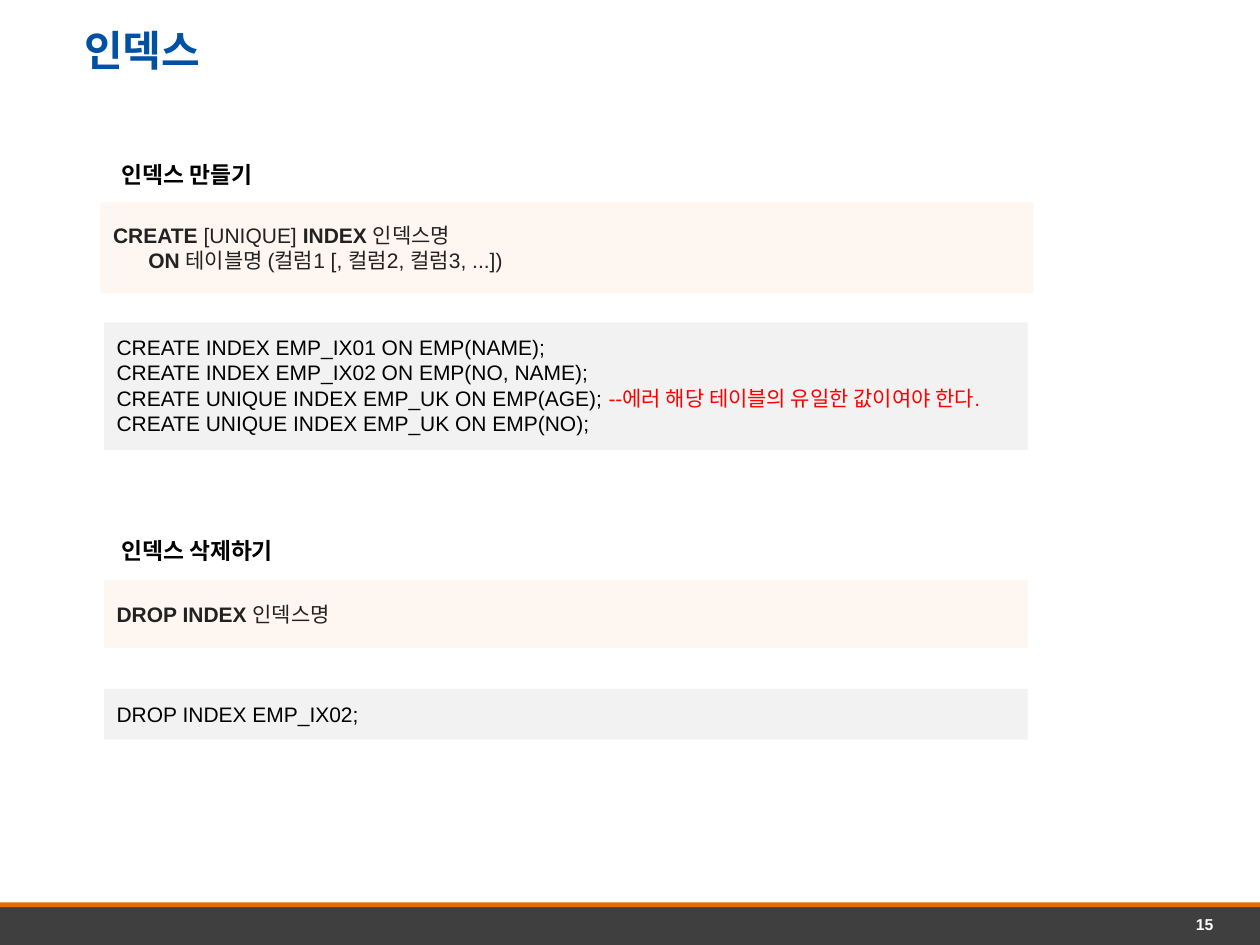
from pptx import Presentation
from pptx.dml.color import RGBColor
from pptx.enum.shapes import MSO_SHAPE
from pptx.enum.text import MSO_ANCHOR, MSO_AUTO_SIZE, PP_ALIGN
from pptx.util import Cm, Pt

RECT = MSO_SHAPE.RECTANGLE
TOP, MIDDLE = MSO_ANCHOR.TOP, MSO_ANCHOR.MIDDLE
LEFT, RIGHT = PP_ALIGN.LEFT, PP_ALIGN.RIGHT
NO_AUTOFIT = MSO_AUTO_SIZE.NONE

FONT = "Arial"
COLORS = {
    "title": "0050A4",
    "text": "000000",
    "syntax": "222222",
    "error": "FF0000",
    "syntax_fill": "FEF6F0",
    "example_fill": "F2F2F2",
    "footer": "3F3F3F",
    "accent": "E36C09",
    "white": "FFFFFF",
}
TITLE_ONLY = 5
CODE_SIZE = 12
CODE_INDENT = 0.71


def rgb(name):
    return RGBColor.from_string(COLORS[name])


def place(box):
    return [Cm(length) for length in box]


def set_frame(frame, insets, anchor=TOP):
    frame.word_wrap = True
    frame.auto_size = NO_AUTOFIT
    frame.vertical_anchor = anchor
    (frame.margin_left, frame.margin_top,
     frame.margin_right, frame.margin_bottom) = place(insets)


def add_runs(paragraph, runs, size, align=LEFT):
    paragraph.alignment = align
    for text, bold, color in runs:
        run = paragraph.add_run()
        run.text = text
        run.font.name = FONT
        run.font.size = Pt(size)
        run.font.bold = bold
        run.font.color.rgb = rgb(color)


def add_bar(slide, box, fill):
    bar = slide.shapes.add_shape(RECT, *place(box))
    bar.shadow.inherit = False
    bar.fill.solid()
    bar.fill.fore_color.rgb = rgb(fill)
    bar.line.fill.background()
    return bar


def add_label(slide, box, insets, runs, size, align=LEFT):
    frame = slide.shapes.add_textbox(*place(box)).text_frame
    set_frame(frame, insets)
    add_runs(frame.paragraphs[0], runs, size, align)


def add_code(slide, box, fill, lines, pad, anchor):
    frame = add_bar(slide, box, fill).text_frame
    set_frame(frame, (0.25, pad, 0.25, pad), anchor)
    for number, (indent, runs) in enumerate(lines):
        paragraph = frame.add_paragraph() if number else frame.paragraphs[0]
        if indent:
            paragraph._p.get_or_add_pPr().set("marL", str(Cm(indent)))
        add_runs(paragraph, runs, CODE_SIZE)


def add_footer(slide, box, page):
    left, top, width, height = box
    add_bar(slide, (left, top + 0.08, width, height - 0.08), "footer")
    add_bar(slide, (left, top, width, 0.1), "accent")
    add_label(slide, (left + 17.73, top + 0.25, 6.73, 0.38), (0, 0, 0, 0),
              [(page, True, "white")], 9, RIGHT)


def add_title(slide, box, text):
    title = slide.shapes.title
    title.left, title.top, title.width, title.height = place(box)
    set_frame(title.text_frame, (1.7, 0.5, 0.25, 0.13))
    add_runs(title.text_frame.paragraphs[0], [(text, True, "title")], 24)


def add_section(slide, box, heading, syntax, syntax_box, example, example_box):
    left, top, width, _ = box
    add_label(slide, (left + 0.1, top, width, 1.07), (0.25, 0.25, 0.25, 0.25),
              [(heading, True, "text")], 13)
    for lines, (dx, dy, w, h), fill, pad, anchor in (
        (syntax, syntax_box, "syntax_fill", 0.13, MIDDLE),
        (example, example_box, "example_fill", 0.25, TOP),
    ):
        add_code(slide, (left + dx, top + dy, w, h), fill, lines, pad, anchor)


def main():
    prs = Presentation()
    prs.slide_width, prs.slide_height = Cm(25.4), Cm(19.05)
    slide = prs.slides.add_slide(prs.slide_layouts[TITLE_ONLY])

    add_footer(slide, (0, 18.19, 25.4, 0.86), "15")
    add_title(slide, (0, 0, 25.4, 1.65), "인덱스")

    create_syntax = [
        (0, [("CREATE", True, "syntax"), (" [UNIQUE] ", False, "syntax"),
             ("INDEX", True, "syntax"), (" 인덱스명", False, "syntax")]),
        (CODE_INDENT, [("ON", True, "syntax"),
                       (" 테이블명 (컬럼1 [, 컬럼2, 컬럼3, ...])", False, "syntax")]),
    ]
    create_example = [
        (0, [("CREATE INDEX EMP_IX01 ON EMP(NAME);", False, "text")]),
        (0, [("CREATE INDEX EMP_IX02 ON EMP(NO, NAME);", False, "text")]),
        (0, [("CREATE UNIQUE INDEX EMP_UK ON EMP(AGE); ", False, "text"),
             ("--에러 해당 테이블의 유일한 값이여야 한다.", False, "error")]),
        (0, [("CREATE UNIQUE INDEX EMP_UK ON EMP(NO);", False, "text")]),
    ]
    add_section(slide, (2.1, 3, 21.44, 6.07), "인덱스 만들기",
                create_syntax, (-0.07, 1.08, 18.8, 1.83),
                create_example, (0, 3.5, 18.62, 2.57))

    drop_syntax = [(0, [("DROP INDEX", True, "syntax"),
                        (" 인덱스명", False, "syntax")])]
    drop_example = [(0, [("DROP INDEX EMP_IX02;", False, "text")])]
    add_section(slide, (2.1, 10.57, 21.44, 4.34), "인덱스 삭제하기",
                drop_syntax, (0, 1.12, 18.62, 1.37),
                drop_example, (0, 3.32, 18.62, 1.02))

    prs.save("out.pptx")


if __name__ == "__main__":
    main()
